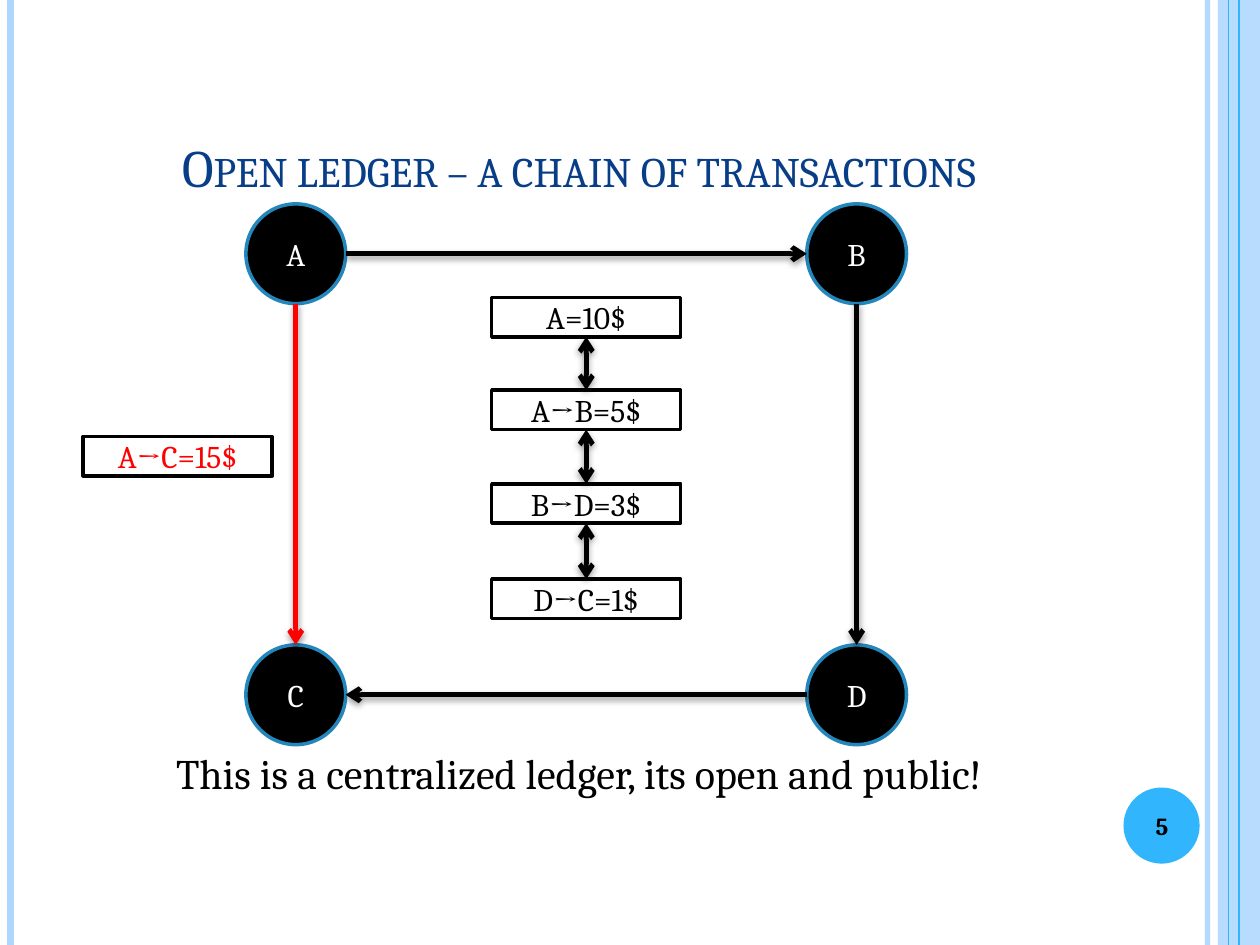
from pptx import Presentation
from pptx.util import Pt
from pptx.dml.color import RGBColor as RGB
from pptx.enum.shapes import MSO_SHAPE as SHAPE, MSO_CONNECTOR as CONN
from pptx.enum.text import MSO_ANCHOR as ANCHOR, PP_ALIGN as ALIGN
from pptx.oxml import parse_xml
from pptx.oxml.ns import qn, nsdecls
from lxml.etree import SubElement

COL = {"pale": "AED7FE", "sky": "31B6FD", "navy": "073E87", "rim": "2487BB",
       "black": "000000", "white": "FFFFFF", "red": "FF0000"}
FONT = "Cambria"
SHADOW = (f'<a:effectLst {nsdecls("a")}><a:outerShdw blurRad="50800" dist="20320" dir="5400000" '
          'rotWithShape="0"><a:srgbClr val="000000"><a:alpha val="42000"/></a:srgbClr>'
          '</a:outerShdw></a:effectLst>')

prs = Presentation()
prs.slide_width, prs.slide_height = Pt(720), Pt(540)
slide = prs.slides.add_slide(prs.slide_layouts[6])
shapes = slide.shapes


def write(shape, text, size, color, align=ALIGN.CENTER, anchor=ANCHOR.MIDDLE):
    frame = shape.text_frame
    frame.word_wrap = True
    frame.vertical_anchor = anchor
    para = frame.paragraphs[0]
    para.alignment = align
    run = para.add_run()
    run.text = text
    run.font.name, run.font.size = FONT, Pt(size)
    run.font.color.rgb = RGB.from_string(COL[color])
    return run


def draw(kind, x, y, w, h, fill, rim=None):
    shape = shapes.add_shape(kind, Pt(x), Pt(y), Pt(w), Pt(h))
    shape.shadow.inherit = False
    shape.fill.solid()
    shape.fill.fore_color.rgb = RGB.from_string(COL[fill])
    if rim:
        shape.line.color.rgb = RGB.from_string(COL[rim])
        shape.line.width = Pt(2)
    else:
        shape.line.fill.background()
    return shape


# Side stripes: x, colour, width, opacity in percent
band = draw(SHAPE.RECTANGLE, 696, 0, 24, 540, "pale")
tint = band.fill._xPr.find(qn("a:solidFill"))[0]
SubElement(tint, qn("a:alpha")).set("val", "87000")
for x, color, width, alpha in [(690, "pale", 3, 93), (6, "pale", 4.5, 100),
                               (708, "sky", 1.5, 100), (702, "sky", 0.75, 100)]:
    stripe = shapes.add_connector(CONN.STRAIGHT, Pt(x), Pt(0), Pt(x), Pt(540))
    stripe.line.color.rgb = RGB.from_string(COL[color])
    stripe.line.width = Pt(width)
    tint = stripe.line._ln.find(qn("a:solidFill"))[0]
    SubElement(tint, qn("a:alpha")).set("val", str(alpha * 1000))
    SubElement(stripe._element.spPr, qn("a:effectLst"))

# Page number
draw(SHAPE.OVAL, 642, 450, 43.5, 43.5, "sky")
page = shapes.add_textbox(Pt(640), Pt(451.5), Pt(48), Pt(41))
write(page, "5", 14, "black").font.bold = True

# Title and caption
title = shapes.add_textbox(Pt(97), Pt(12), Pt(526), Pt(104.5))
run = write(title, "Open ledger – a chain of transactions", 30, "navy", ALIGN.LEFT, ANCHOR.BOTTOM)
run.font._element.set("cap", "small")
note = shapes.add_textbox(Pt(93.5), Pt(423.5), Pt(516), Pt(65.5))
write(note, "This is a centralized ledger, its open and public!", 24, "black", ALIGN.LEFT, ANCHOR.TOP)

# Nodes at the corners
west, east, north, south, size = 140.5, 461, 116.5, 368.5, 57
for name, x, y in [("A", west, north), ("C", west, south), ("D", east, south), ("B", east, north)]:
    node = draw(SHAPE.OVAL, x, y, size, size, "black", "rim")
    write(node, name, 18, "white")

# Ledger entries, in order, and the new payment
chain = []
for text, x, y, color in [("A=10$", 281, 170, "black"), ("A→B=5$", 281, 223, "black"),
                          ("B→D=3$", 281, 276.5, "black"), ("D→C=1$", 281, 331, "black"),
                          ("A→C=15$", 47.5, 249.5, "red")]:
    box = draw(SHAPE.RECTANGLE, x, y, 108, 22.5, "white", "black")
    frame = box.text_frame
    frame.margin_top = frame.margin_bottom = 0
    write(box, text, 18, color)
    chain.append(box)
chain.pop()

# Arrows between nodes, then double arrows between entries
half = size / 2
arrows = []
for x1, y1, x2, y2, color in [
        (west + size, north + half, east, north + half, "black"),
        (east, south + half, west + size, south + half, "black"),
        (west + half, north + size, west + half, south, "red"),
        (east + half, north + size, east + half, south, "black")]:
    link = shapes.add_connector(CONN.STRAIGHT, Pt(x1), Pt(y1), Pt(x2), Pt(y2))
    arrows.append((link, color, ["tailEnd"]))
for upper, lower in zip(chain, chain[1:]):
    link = shapes.add_connector(CONN.STRAIGHT, 0, 0, 0, 0)
    link.begin_connect(upper, 2)
    link.end_connect(lower, 0)
    arrows.append((link, "black", ["headEnd", "tailEnd"]))
for link, color, ends in arrows:
    link.line.color.rgb = RGB.from_string(COL[color])
    link.line.width = Pt(2.75)
    for end in ends:
        SubElement(link.line._ln, qn("a:" + end)).set("type", "arrow")
    link._element.spPr.append(parse_xml(SHADOW))

prs.save("out.pptx")
